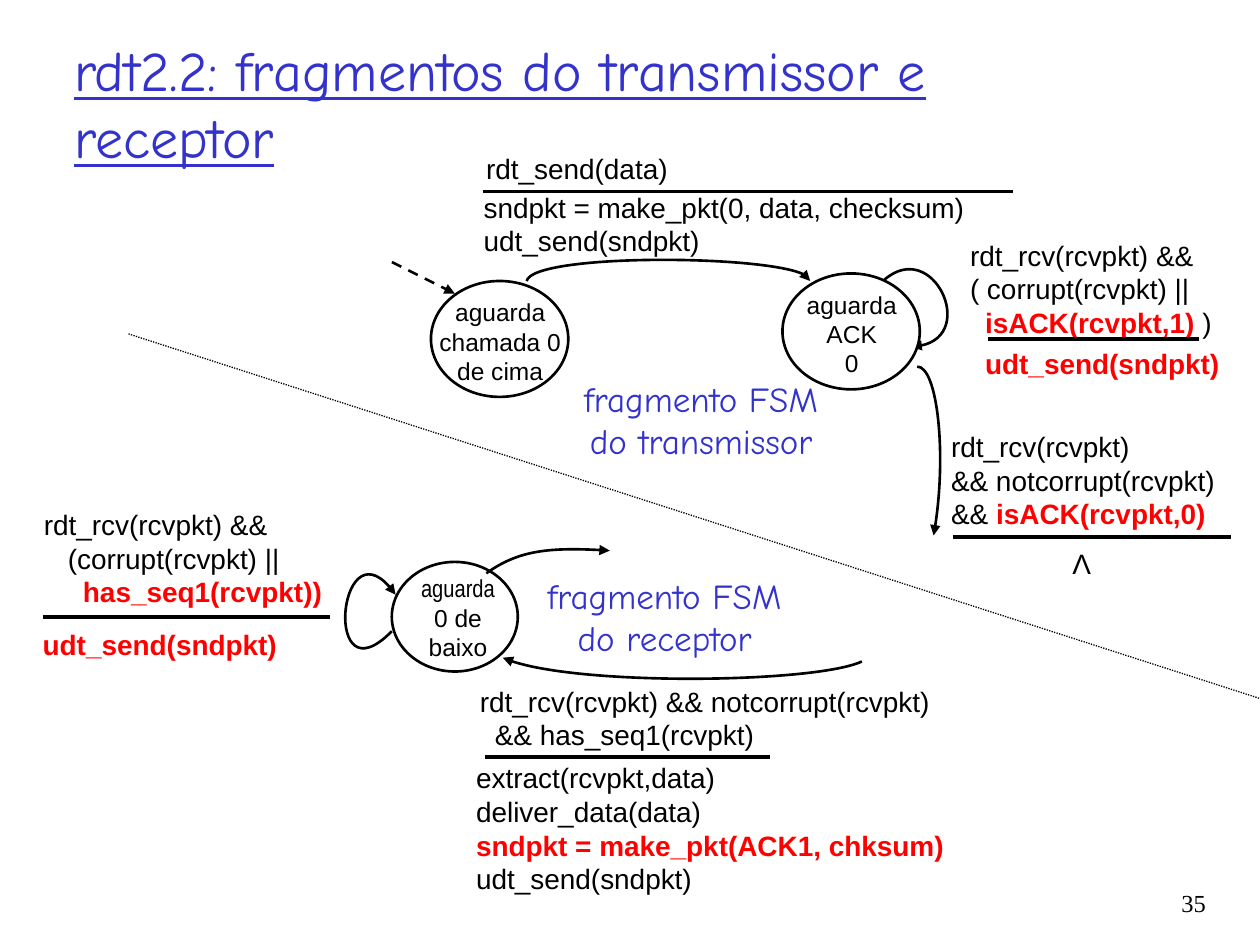
from pptx import Presentation
from pptx.dml.color import RGBColor
from pptx.enum.dml import MSO_LINE_DASH_STYLE as Dash
from pptx.enum.shapes import MSO_CONNECTOR, MSO_SHAPE
from pptx.enum.text import MSO_ANCHOR as Anchor, PP_ALIGN as Align
from pptx.oxml.ns import qn
from pptx.util import Inches, Pt
from lxml.etree import SubElement

BLACK, RED, BLUE, WHITE = "000000", "FF0000", "3333CC", "FFFFFF"
HAND = "Comic Neue"


def color(hex_code):
    return RGBColor.from_string(hex_code)


def add_run(paragraph, text, size=16, font="Arial", ink=BLACK, bold=False, underline=False):
    run = paragraph.add_run()
    run.text = text
    run.font.size, run.font.name = Pt(size), font
    run.font.bold, run.font.underline = bold, underline
    run.font.color.rgb = color(ink)


def line(*runs, indent=0):
    """One paragraph: strings, or (string, format) pairs, after an indent in inches."""
    return runs, indent


def key(text):
    """A highlighted part of a transition."""
    return text, {"ink": RED, "bold": True}


class StateDiagram:
    def __init__(self, slide):
        self.shapes = slide.shapes

    def text(self, left, top, width, height, *lines, align=Align.LEFT,
             anchor=Anchor.TOP, wrap=True, **style):
        box = self.shapes.add_textbox(*map(Inches, (left, top, width, height)))
        frame = box.text_frame
        frame.word_wrap, frame.vertical_anchor = wrap, anchor
        for i, content in enumerate(lines):
            runs, indent = line(content) if isinstance(content, str) else content
            paragraph = frame.paragraphs[0] if i == 0 else frame.add_paragraph()
            paragraph.alignment = align
            if indent:
                paragraph._p.get_or_add_pPr().set("marL", str(Inches(indent)))
            for run in runs:
                words, extra = (run, {}) if isinstance(run, str) else run
                add_run(paragraph, words, **{**style, **extra})

    def caption(self, left, top, *lines):
        self.text(left, top, 2.07, 0.77, *lines, align=Align.CENTER, wrap=False,
                  size=20, font=HAND, ink=BLUE)

    def stroke(self, shape, weight, dash=None, arrow=None):
        shape.line.width = Pt(weight)
        shape.line.color.rgb = color(BLACK)
        if dash:
            shape.line.dash_style = dash
        if arrow:
            SubElement(shape.line._get_or_add_ln(), qn(f"a:{arrow}End"), type="triangle")

    def straight(self, start, end, weight=2.25, dash=None, arrow=None):
        connector = self.shapes.add_connector(
            MSO_CONNECTOR.STRAIGHT, *map(Inches, (*start, *end)))
        self.stroke(connector, weight, dash, arrow)
        SubElement(connector._element.spPr, qn("a:effectLst"))

    def rule(self, left, right, y):
        self.straight((left, y), (right, y))

    def arc(self, *controls, arrow="tail", rotation=0):
        """Curved transition: one cubic Bézier through start, two controls and end."""
        start, *others = [(Inches(x), Inches(y)) for x, y in controls]
        builder = self.shapes.build_freeform(*start)
        builder.add_line_segments(others, close=False)
        curve = builder.convert_to_shape()
        # Turn the three line segments into a single curve
        segments = list(curve._element.iter(qn("a:lnTo")))
        cubic = SubElement(segments[0].getparent(), qn("a:cubicBezTo"))
        for segment in segments:
            cubic.append(segment[0])
            segment.getparent().remove(segment)
        curve.rotation = rotation
        curve.shadow.inherit = False
        curve.fill.background()
        self.stroke(curve, 1.5, arrow=arrow)

    def state(self, oval, label_area, *lines):
        ellipse = self.shapes.add_shape(MSO_SHAPE.OVAL, *map(Inches, oval))
        ellipse.shadow.inherit = False
        ellipse.fill.solid()
        ellipse.fill.fore_color.rgb = color(WHITE)
        self.stroke(ellipse, 1.5)
        self.text(*label_area, *lines, align=Align.CENTER, size=14)


def main():
    deck = Presentation()
    deck.slide_width, deck.slide_height = Inches(10), Inches(7.5)
    fsm = StateDiagram(deck.slides.add_slide(deck.slide_layouts[6]))

    # Title
    fsm.text(0.49, 0.19, 8.5, 1.25, "rdt2.2: fragmentos do transmissor e receptor",
             anchor=Anchor.MIDDLE, size=32, font=HAND, ink=BLUE, underline=True)

    # Sender: wait for call 0, then send
    fsm.state((3.42, 2.23, 1.09, 0.92), (3.34, 2.31, 1.26, 0.67),
              "aguarda chamada 0 de cima")
    fsm.text(3.74, 1.46, 4.41, 0.44,
             "sndpkt = make_pkt(0, data, checksum)", "udt_send(sndpkt)")
    fsm.text(3.76, 1.15, 2.04, 0.31, "rdt_send(data)")
    fsm.rule(3.83, 8.04, 1.52)
    fsm.straight((3.11, 2.08), (3.61, 2.33), 1.5, Dash.DASH, arrow="tail")
    fsm.arc((4.18, 2.23), (4.23, 2.01), (6.43, 2.02), (6.43, 2.23))

    # Sender: wait for ACK 0, resend on a bad reply
    fsm.arc((7.11, 2.1), (7.6, 1.93), (7.64, 2.87), (7.11, 2.67), rotation=337.4)
    fsm.text(7.72, 2.7, 2.52, 0.44, line(key("udt_send(sndpkt)")))
    fsm.text(7.6, 1.84, 3.22, 0.62, "rdt_rcv(rcvpkt) &&", "( corrupt(rcvpkt) ||",
             line(key("isACK(rcvpkt,1)"), " )", indent=0.12))
    fsm.rule(7.84, 9.52, 2.69)

    # Sender: leave on a good ACK
    fsm.arc((7.41, 4.25), (7.52, 3.65), (7.44, 2.91), (7.28, 2.91), arrow="head")
    fsm.text(7.45, 3.36, 2.86, 0.63, "rdt_rcv(rcvpkt)", "&& notcorrupt(rcvpkt)",
             line("&& ", key("isACK(rcvpkt,0)")))
    fsm.rule(7.56, 9.77, 4.26)
    fsm.state((6.21, 2.17, 1.09, 0.92), (6.13, 2.25, 1.26, 0.67), "aguarda ACK", "0")
    fsm.caption(4.53, 2.95, "fragmento FSM", "do transmissor")

    # Receiver: wait for 0 from below
    fsm.state((3.11, 4.46, 1, 0.87), (3.16, 4.5, 0.95, 0.67),
              line(("aguarda", {"font": "Arial Narrow"})), "0 de baixo")
    fsm.arc((3.86, 4.55), (4.11, 4.37), (4.38, 4.34), (4.84, 4.37))

    # Receiver: deliver good data
    fsm.arc((3.99, 5.22), (4.49, 5.45), (6.48, 5.42), (6.84, 5.25), arrow="head")
    fsm.text(3.71, 5.38, 4.67, 0.62, "rdt_rcv(rcvpkt) && notcorrupt(rcvpkt)",
             line("&& has_seq1(rcvpkt)", indent=0.12))
    fsm.rule(3.85, 6.11, 6.01)
    fsm.text(3.68, 5.99, 4.95, 0.76, "extract(rcvpkt,data)", "deliver_data(data)",
             line(key("sndpkt = make_pkt(ACK1, chksum)")), "udt_send(sndpkt)")

    # Receiver: repeat the last ACK
    fsm.arc((3.11, 5.01), (2.56, 5.57), (2.69, 4.08), (3.14, 4.72))
    fsm.rule(0.34, 2.62, 4.9)
    fsm.text(0.25, 3.98, 2.79, 0.7, "rdt_rcv(rcvpkt) &&",
             line("(corrupt(rcvpkt) ||", indent=0.19),
             line(key("has_seq1(rcvpkt))"), indent=0.31))
    fsm.text(0.24, 4.93, 2.41, 0.45, line(key("udt_send(sndpkt)")))
    fsm.caption(4.24, 4.51, "fragmento FSM", "do receptor")

    # Divider between sender and receiver, empty action, page number
    fsm.straight((1.02, 2.65), (10.36, 5.66), 0.75, Dash.ROUND_DOT)
    fsm.text(8.36, 4.29, 0.45, 0.37, "Λ", align=Align.CENTER)
    fsm.text(8.93, 7, 0.74, 0.5, "35", align=Align.RIGHT, size=14, font="Times New Roman")

    deck.save("out.pptx")


if __name__ == "__main__":
    main()
